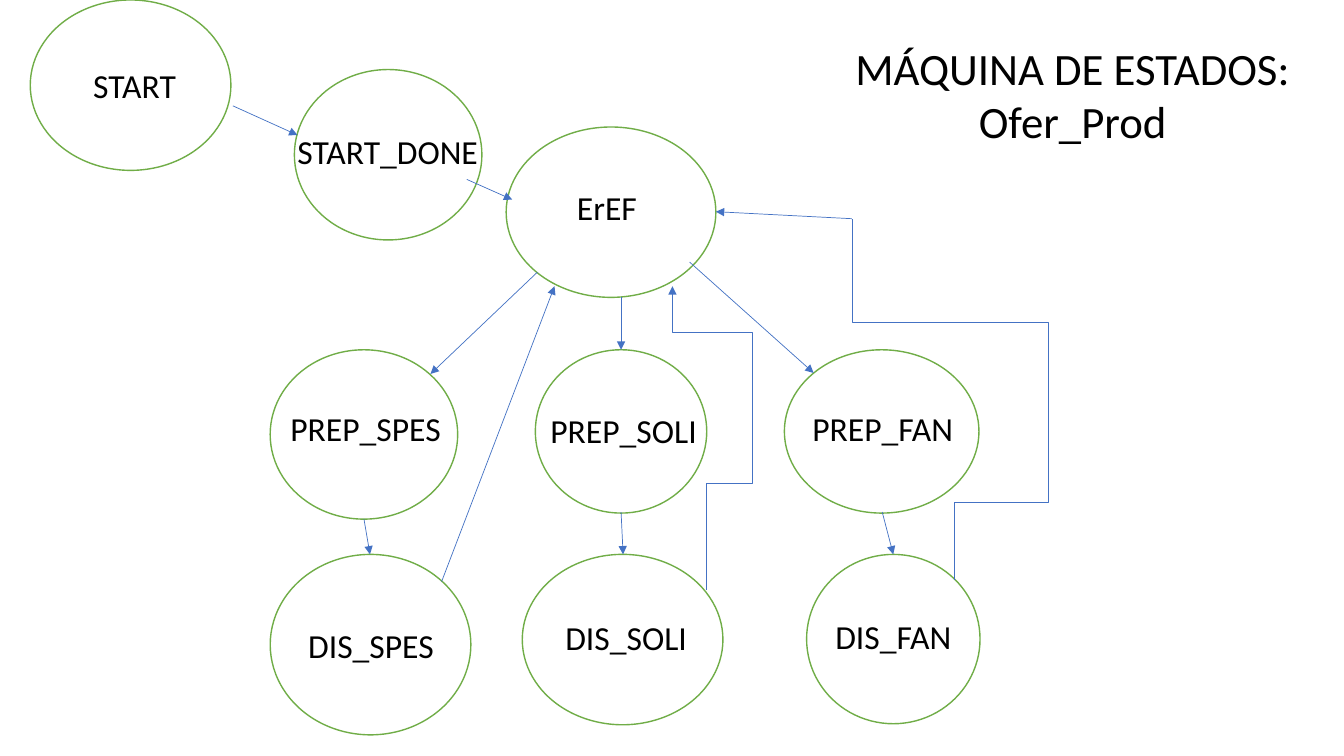
from lxml import etree
from pptx import Presentation
from pptx.dml.color import RGBColor
from pptx.enum.shapes import MSO_CONNECTOR, MSO_SHAPE
from pptx.enum.text import MSO_ANCHOR, MSO_AUTO_SIZE, PP_ALIGN
from pptx.oxml.ns import qn
from pptx.util import Emu, Pt

PX = 9144
STRAIGHT, ELBOW = MSO_CONNECTOR.STRAIGHT, MSO_CONNECTOR.ELBOW
ELLIPSE = MSO_SHAPE.OVAL
CENTER = PP_ALIGN.CENTER
COLORS = {"text": "000000", "state": "70AD47", "arrow": "4472C4", "back": "FFFFFF"}
FRAME_FORMAT = {
    "word_wrap": False,
    "auto_size": MSO_AUTO_SIZE.NONE,
    "vertical_anchor": MSO_ANCHOR.TOP,
}
TITLE = "MÁQUINA DE ESTADOS:\nOfer_Prod"

# fmt: off
STATES = [
    ("START", (30, 0, 199, 169), (82, 59, 103, 50)),
    ("START_DONE", (292, 69, 186, 169), (284, 125, 201, 50)),
    ("ErEF", (502, 126, 208, 169), (562, 181, 80, 50)),
    ("PREP_SPES", (268, 347, 186, 168), (277, 400, 171, 50)),
    ("PREP_SOLI", (531, 347, 170, 162), (535, 402, 167, 50)),
    ("PREP_FAN", (778, 347, 193, 162), (795, 400, 161, 50)),
    ("DIS_SPES", (268, 550, 199, 179), (295, 615, 146, 50)),
    ("DIS_SOLI", (518, 550, 199, 169), (550, 607, 142, 50)),
    ("DIS_FAN", (800, 550, 172, 168), (818, 606, 136, 50)),
]
ARROWS = [
    ((231, 105), (295, 134)),
    ((463, 178), (508, 198)),
    ((533, 270), (427, 371)),
    ((616, 295), (616, 347)),
    ((684, 260), (807, 370)),
    ((361, 515), (367, 550)),
    ((616, 508), (618, 550)),
    ((875, 508), (886, 550)),
    ((438, 577), (550, 284)),
    ((845, 217), (710, 210)),
]
RISING_ELBOWS = [
    ((701, 585), (746, 375), False),
    ((746, 375), (667, 284), True),
    ((947, 575), (1040, 422), False),
    ((1040, 422), (845, 217), False),
]
# fmt: on


def px(*lengths):
    """Turn pixel lengths into EMU."""
    return [Emu(round(length * PX)) for length in lengths]


def color(name):
    """Look up a named colour."""
    return RGBColor.from_string(COLORS[name])


def write_text(frame, text, size):
    """Fill a text frame with centred, formatted paragraphs."""
    frame.text = text
    for name, value in FRAME_FORMAT.items():
        setattr(frame, name, value)
    for paragraph in frame.paragraphs:
        paragraph.alignment = CENTER
        font = paragraph.runs[0].font
        for name, value in {"name": "Calibri", "size": Pt(size)}.items():
            setattr(font, name, value)
        font.color.rgb = color("text")


def add_title(slide):
    """Place the heading in the title placeholder."""
    title = slide.shapes.title
    title.left, title.top, title.width, title.height = px(836, 35, 456, 118)
    write_text(title.text_frame, TITLE, 32)


def add_state(slide, name, circle, label):
    """Draw one state as an ellipse with its label."""
    shape = slide.shapes.add_shape(ELLIPSE, *px(*circle))
    shape.shadow.inherit = False
    shape.fill.solid()
    shape.fill.fore_color.rgb = color("back")
    shape.line.color.rgb = color("state")
    shape.line.width = Pt(1)
    write_text(slide.shapes.add_textbox(*px(*label)).text_frame, name, 24)


def add_arrow(slide, start, end, kind=STRAIGHT, head=True):
    """Draw a transition line, with an arrowhead if asked."""
    connector = slide.shapes.add_connector(kind, *px(*start, *end))
    connector.line.color.rgb = color("arrow")
    connector.line.width = Pt(0.5)
    if head:
        line = connector.line._get_or_add_ln()
        etree.SubElement(line, qn("a:tailEnd"), type="triangle")
    etree.SubElement(connector._element.spPr, qn("a:effectLst"))
    return connector


def add_rising_elbow(slide, start, end, head):
    """Draw an elbow that leaves upwards, as a level one turned by 270 degrees."""
    (x1, y1), (x2, y2) = start, end
    middle_x, middle_y = (x1 + x2) / 2, (y1 + y2) / 2
    half_rise, half_run = (y1 - y2) / 2, (x2 - x1) / 2
    level_start = (middle_x - half_rise, middle_y - half_run)
    level_end = (middle_x + half_rise, middle_y + half_run)
    connector = add_arrow(slide, level_start, level_end, ELBOW, head)
    connector._element.spPr.find(qn("a:xfrm")).set("rot", str(270 * 60000))


def main():
    """Build the state machine slide."""
    presentation = Presentation()
    presentation.slide_width, presentation.slide_height = px(1333, 750)
    slide = presentation.slides.add_slide(presentation.slide_layouts[5])
    add_title(slide)
    for state in STATES:
        add_state(slide, *state)
    for start, end in ARROWS:
        add_arrow(slide, start, end)
    for elbow in RISING_ELBOWS:
        add_rising_elbow(slide, *elbow)
    presentation.save("out.pptx")


if __name__ == "__main__":
    main()
